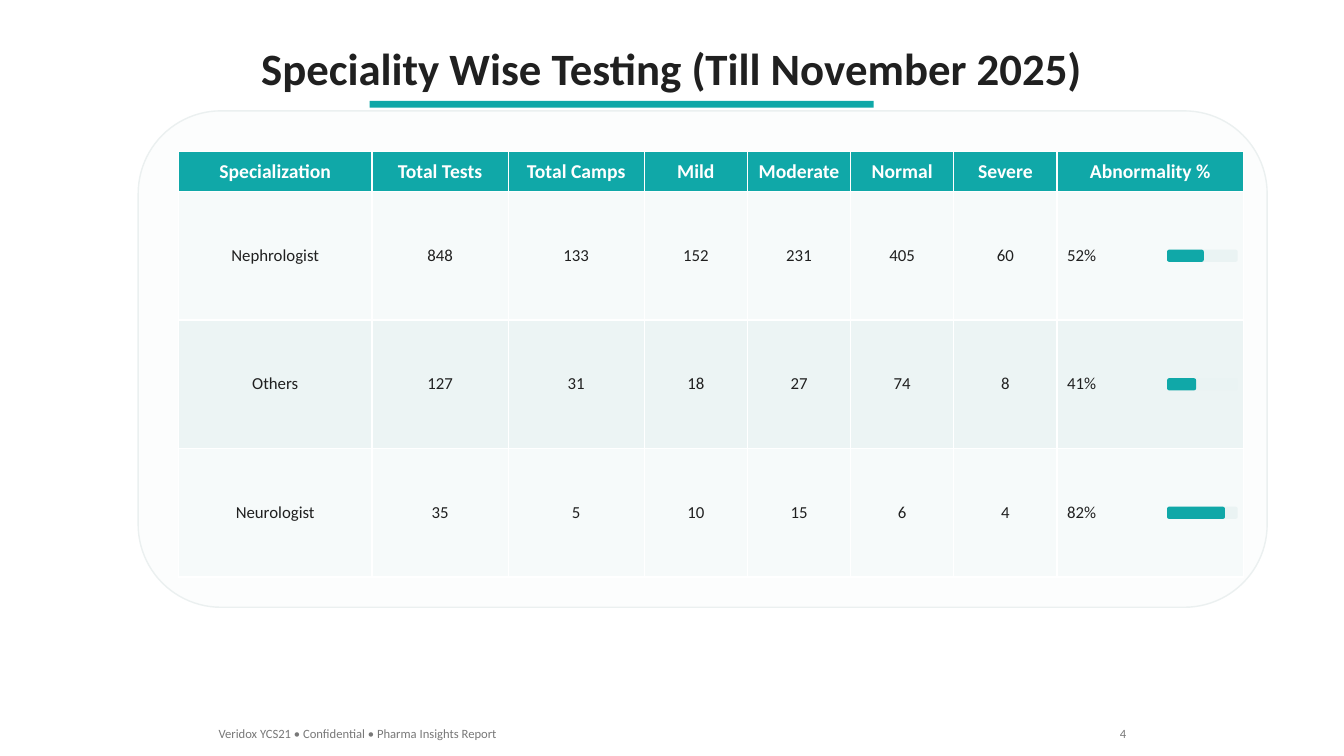
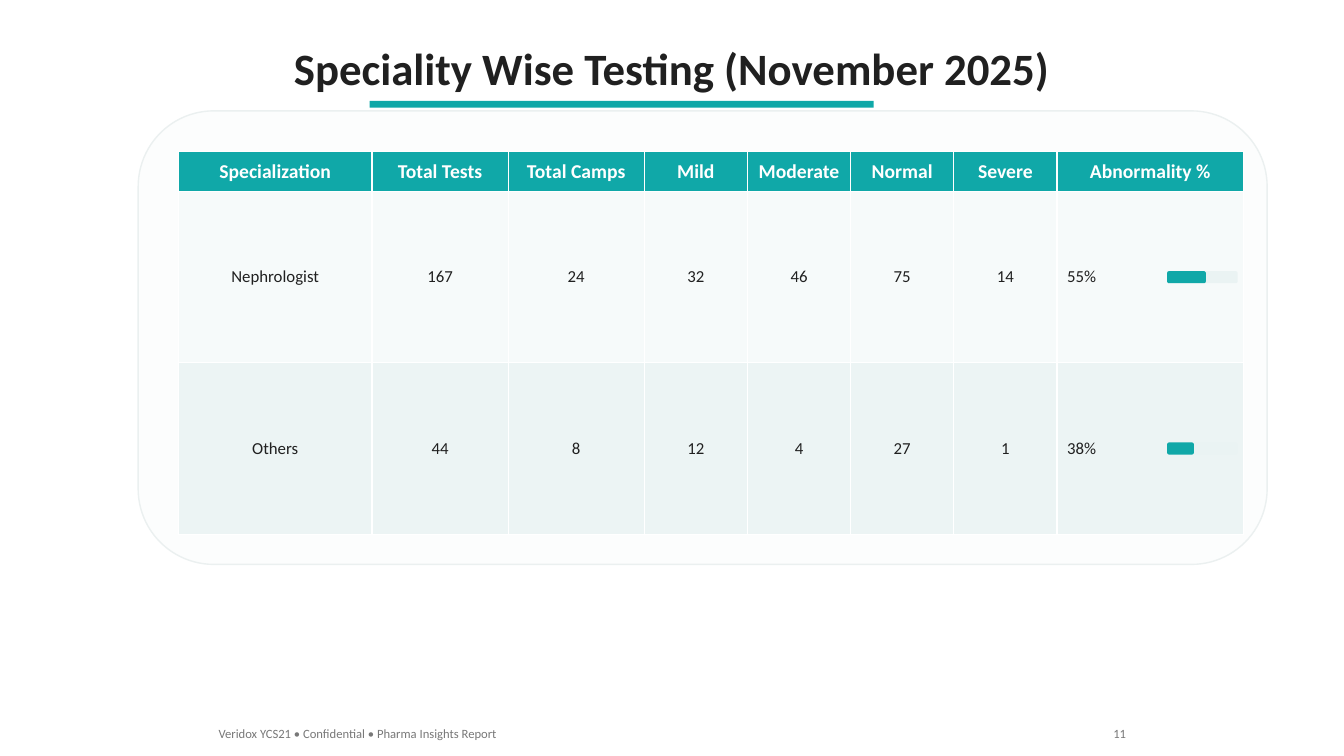
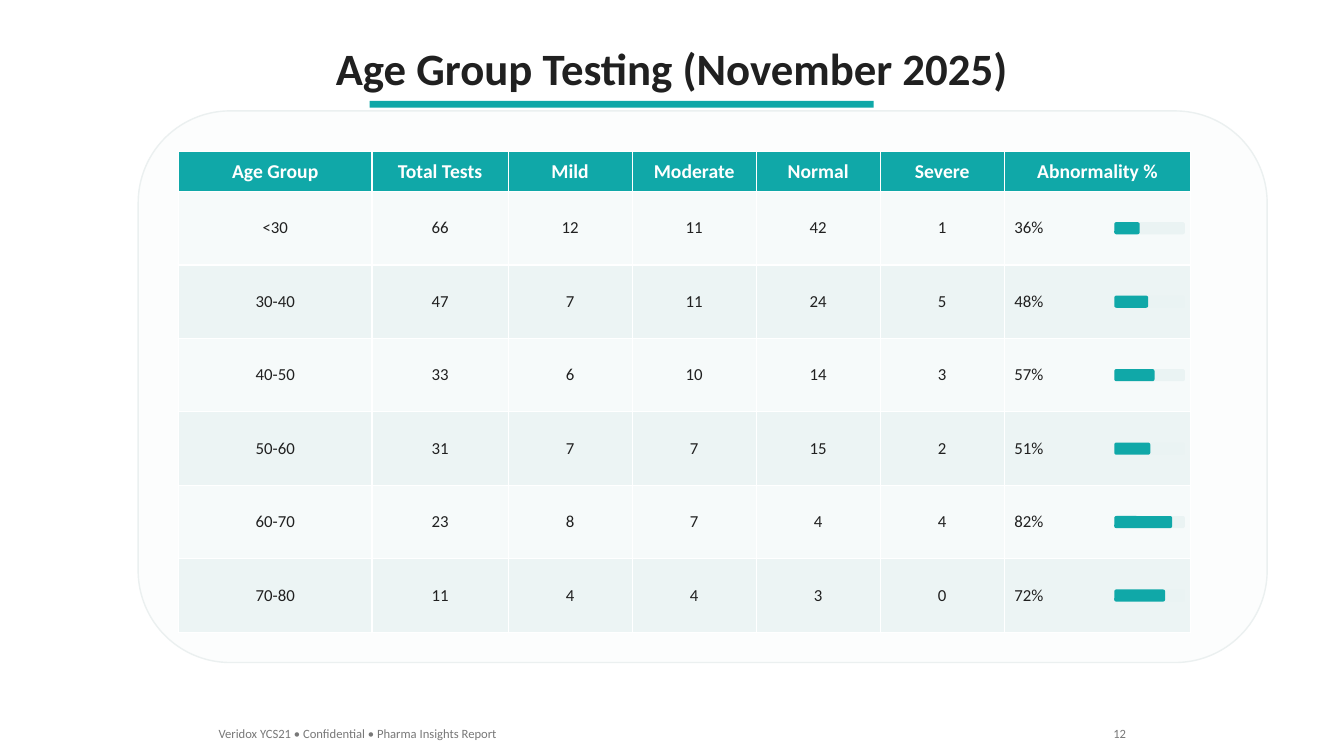
from pptx import Presentation
from pptx.dml.color import RGBColor
from pptx.enum.shapes import MSO_SHAPE as Shape
from pptx.enum.text import MSO_ANCHOR as Anchor, MSO_AUTO_SIZE as AutoSize, PP_ALIGN as Align
from pptx.util import Emu, Inches, Pt

TEAL, INK, GREY, WHITE = "10A8A8", "202020", "787878", "FFFFFF"
PANEL, PANEL_EDGE, TRACK = "FCFDFD", "EBF0F0", "EAF3F3"
BANDS = ["F6FAFA", "ECF4F4"]

TITLE = {"name": "Calibri", "size": Pt(32), "bold": True}
HEADER = {"name": "Calibri", "size": Pt(14), "bold": True}
BODY = {"name": "Calibri", "size": Pt(12), "bold": False}
FOOTER = {"name": "Calibri", "size": Pt(9), "bold": False}

deck = Presentation()
deck.slide_width, deck.slide_height = Inches(13.33), Inches(7.5)
column, row = deck.slide_width / 100, deck.slide_height / 100

TABLE_LEFT, TABLE_TOP, HEADER_ROWS = 13.28, 20, 5.33
BAR_WIDTH, BAR_HEIGHT, BAR_INSET = 5.25, 1.6, 0.45
NUMBER_RIGHT = 84.53


def draw(page, kind, left, top, width, height, fill=None, line=None):
    box = [Emu(left * column), Emu(top * row), Emu(width * column), Emu(height * row)]
    if kind is None:
        return page.shapes.add_textbox(*box)
    shape = page.shapes.add_shape(kind, *box)
    shape.shadow.inherit = False
    shape.fill.solid()
    shape.fill.fore_color.rgb = RGBColor.from_string(fill)
    if line:
        shape.line.color.rgb = RGBColor.from_string(line)
        shape.line.width = Pt(1)
    else:
        shape.line.fill.background()
    return shape


def write(frame, text, formats, colour, align):
    para = frame.paragraphs[0]
    para.alignment = align
    span = para.add_run()
    span.text = text
    for name, value in formats.items():
        setattr(span.font, name, value)
    span.font.color.rgb = RGBColor.from_string(colour)


speciality_heads = ["Specialization", "Total Tests", "Total Camps", "Mild", "Moderate",
                    "Normal", "Severe", "Abnormality %"]
speciality_widths = [14.4, 10.13, 10.13] + [7.68] * 4 + [13.88]
age_heads = ["Age Group", "Total Tests", "Mild", "Moderate", "Normal", "Severe", "Abnormality %"]
age_widths = [14.4, 10.13] + [9.23] * 4 + [13.88]

reports = [
    {"title": "Speciality Wise Testing (Till November 2025)", "title_width": 63.23,
     "number": "4", "number_width": 2.03, "body_rows": 51,
     "heads": speciality_heads, "widths": speciality_widths,
     "records": [["Nephrologist", 848, 133, 152, 231, 405, 60, 52],
                 ["Others", 127, 31, 18, 27, 74, 8, 41],
                 ["Neurologist", 35, 5, 10, 15, 6, 4, 82]]},
    {"title": "Speciality Wise Testing (November 2025)", "title_width": 58.28,
     "number": "11", "number_width": 2.48, "body_rows": 45.33,
     "heads": speciality_heads, "widths": speciality_widths,
     "records": [["Nephrologist", 167, 24, 32, 46, 75, 14, 55],
                 ["Others", 44, 8, 12, 4, 27, 1, 38]]},
    {"title": "Age Group Testing (November 2025)", "title_width": 51.98,
     "number": "12", "number_width": 2.48, "body_rows": 58.3,
     "heads": age_heads, "widths": age_widths,
     "records": [["<30", 66, 12, 11, 42, 1, 36],
                 ["30-40", 47, 7, 11, 24, 5, 48],
                 ["40-50", 33, 6, 10, 14, 3, 57],
                 ["50-60", 31, 7, 7, 15, 2, 51],
                 ["60-70", 23, 8, 7, 4, 4, 82],
                 ["70-80", 11, 4, 4, 3, 0, 72]]},
]

for report in reports:
    page = deck.slides.add_slide(deck.slide_layouts[6])
    widths, records = report["widths"], report["records"]
    table_rows = HEADER_ROWS + report["body_rows"]
    record_rows = report["body_rows"] / len(records)

    title_width, number_width = report["title_width"], report["number_width"]
    labels = [
        (report["title"], 50 - title_width / 2, 4.67, title_width, 8.53, TITLE, INK, Align.CENTER),
        ("Veridox YCS21 • Confidential • Pharma Insights Report",
         15.53, 95.33, 22.88, 3.33, FOOTER, GREY, Align.LEFT),
        (report["number"], NUMBER_RIGHT - number_width, 95.33, number_width, 3.33,
         FOOTER, GREY, Align.RIGHT),
    ]
    for text, left, top, width, height, formats, colour, align in labels:
        box = draw(page, None, left, top, width, height)
        box.text_frame.word_wrap = False
        box.text_frame.auto_size = AutoSize.SHAPE_TO_FIT_TEXT
        write(box.text_frame, text, formats, colour, align)

    draw(page, Shape.RECTANGLE, 27.5, 13.33, 37.5, 0.93, TEAL)
    draw(page, Shape.ROUNDED_RECTANGLE, 10.28, TABLE_TOP - 5.33, 84, table_rows + 9.33,
         PANEL, PANEL_EDGE)

    table = page.shapes.add_table(
        len(records) + 1, len(widths), Emu(TABLE_LEFT * column), Emu(TABLE_TOP * row),
        Emu(sum(widths) * column), Emu(table_rows * row)).table
    for index, width in enumerate(widths):
        table.columns[index].width = Emu(width * column)

    lines = [report["heads"]] + [
        [*map(str, record[:-1]), f"{record[-1]}%"] for record in records]
    for line_index, line in enumerate(lines):
        is_header = line_index == 0
        table.rows[line_index].height = Emu((HEADER_ROWS if is_header else record_rows) * row)
        fill = TEAL if is_header else BANDS[(line_index - 1) % 2]
        formats, colour = (HEADER, WHITE) if is_header else (BODY, INK)
        for cell_index, text in enumerate(line):
            cell = table.cell(line_index, cell_index)
            cell.vertical_anchor = Anchor.MIDDLE
            cell.fill.solid()
            cell.fill.fore_color.rgb = RGBColor.from_string(fill)
            is_percent = not is_header and cell_index == len(line) - 1
            write(cell.text_frame, text, formats, colour,
                  Align.LEFT if is_percent else Align.CENTER)

    bar_left = TABLE_LEFT + sum(widths) - BAR_INSET - BAR_WIDTH
    for index, record in enumerate(records):
        middle = TABLE_TOP + HEADER_ROWS + (index + 0.5) * record_rows
        for share, fill in [(1, TRACK), (record[-1] / 100, TEAL)]:
            draw(page, Shape.ROUNDED_RECTANGLE, bar_left, middle - BAR_HEIGHT / 2,
                 BAR_WIDTH * share, BAR_HEIGHT, fill)

deck.save("out.pptx")
